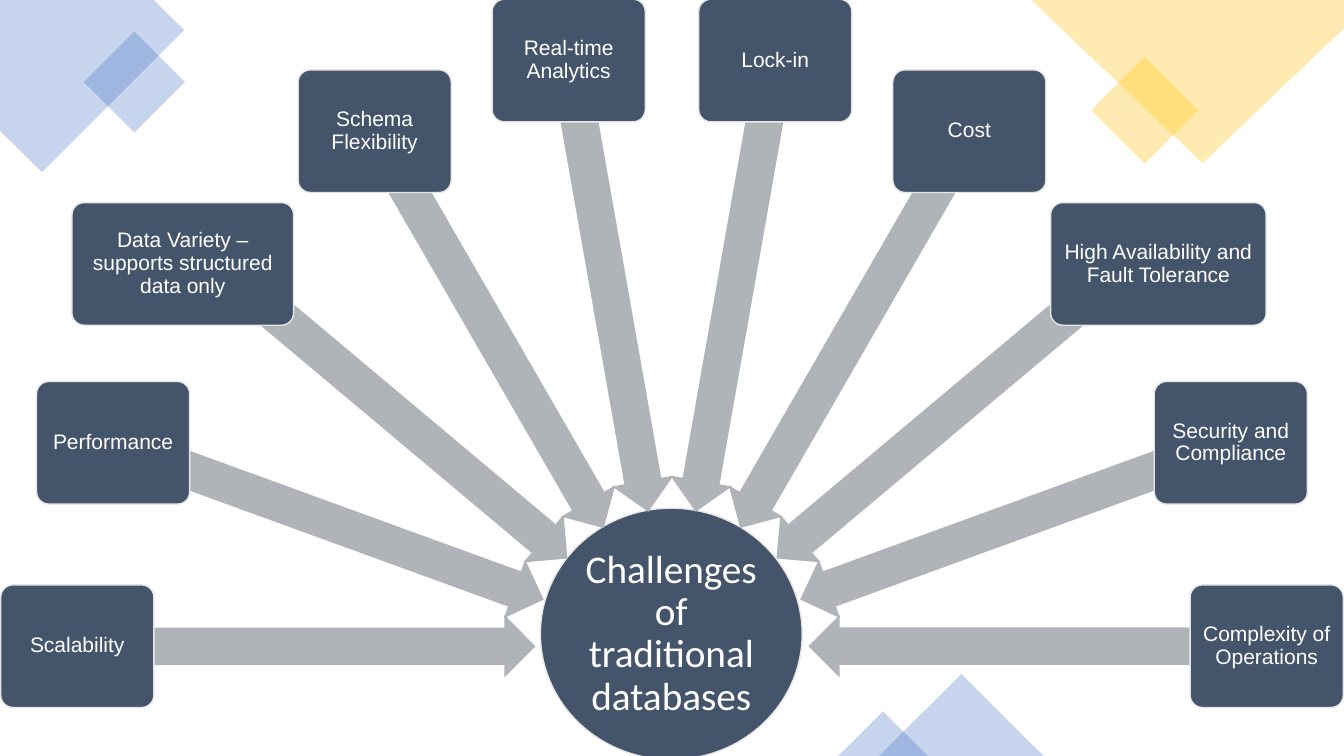
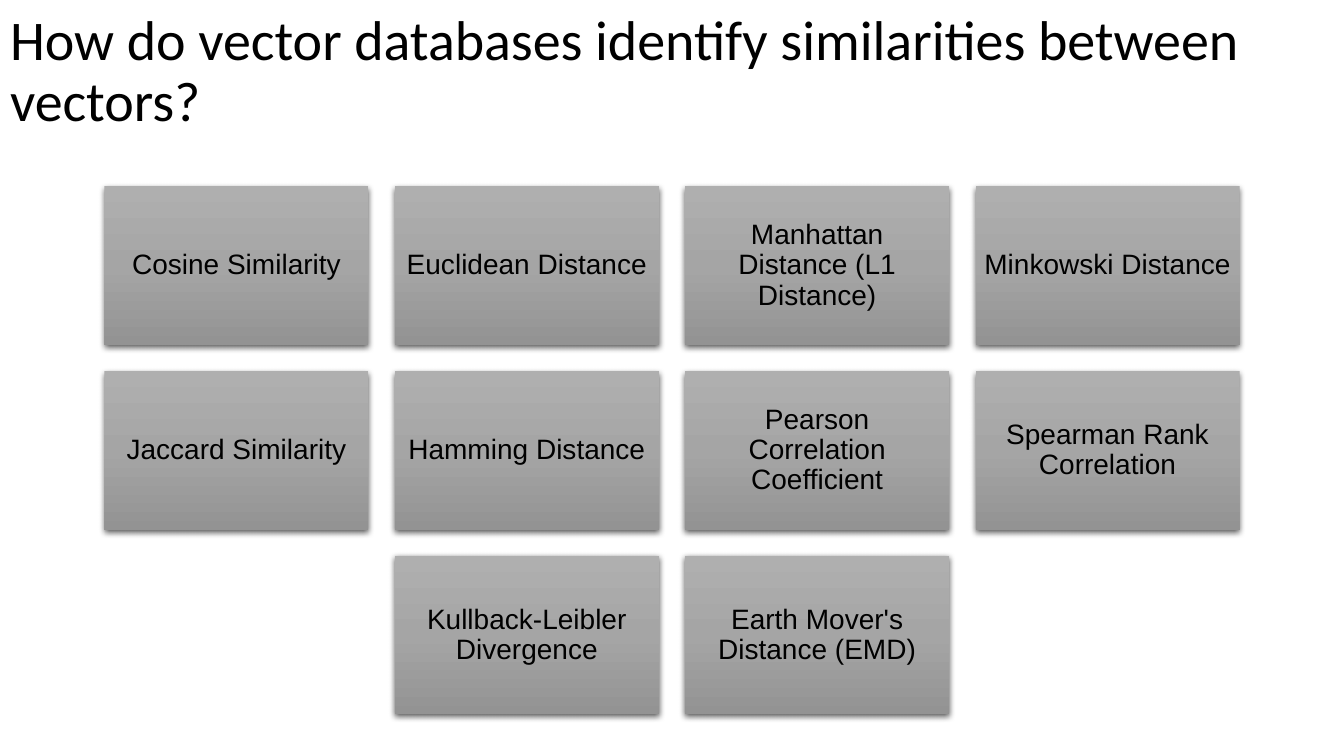
from copy import deepcopy
from math import cos, radians, sin

from lxml import etree
from pptx import Presentation
from pptx.dml.color import RGBColor
from pptx.enum.shapes import MSO_SHAPE
from pptx.enum.text import MSO_ANCHOR, MSO_AUTO_SIZE, PP_ALIGN
from pptx.oxml.ns import qn
from pptx.util import Pt

ARROW = MSO_SHAPE.LEFT_ARROW
DIAMOND = MSO_SHAPE.DIAMOND
OVAL = MSO_SHAPE.OVAL
RECTANGLE = MSO_SHAPE.RECTANGLE
ROUNDED = MSO_SHAPE.ROUNDED_RECTANGLE
TRIANGLE = MSO_SHAPE.ISOSCELES_TRIANGLE
MIDDLE = MSO_ANCHOR.MIDDLE
NO_AUTOFIT = MSO_AUTO_SIZE.NONE
CENTER, LEFT = PP_ALIGN.CENTER, PP_ALIGN.LEFT
TITLE_ONLY, BLANK = 5, 6

WIDTH, HEIGHT = 960, 540
BLUE, GOLD, NAVY, PALE = "4472C4", "FFC000", "44546A", "E7E6E6"
ARROW_GREY, WHITE, BLACK = "B0B4B9", "FFFFFF", "000000"
TILE_STOPS = [(0, "AFAFAF"), (0.5, "A5A5A5"), (1, "939393")]

CHALLENGES = [
    ("Scalability", 109.4, 0),
    ("Performance", 109.4, 0),
    ("Data Variety – supports structured data only", 158.4, -24),
    ("Schema Flexibility", 109.4, 0),
    ("Real-time Analytics", 109.4, 0),
    ("Lock-in", 109.4, 0),
    ("Cost", 109.4, 0),
    ("High Availability and Fault Tolerance", 154, 22),
    ("Security and Compliance", 109.4, 0),
    ("Complexity of Operations", 109.4, 0),
]
MEASURES = [
    ["Cosine Similarity", "Euclidean Distance", "Manhattan Distance (L1 Distance)", "Minkowski Distance"],
    ["Jaccard Similarity", "Hamming Distance", "Pearson Correlation Coefficient", "Spearman Rank Correlation"],
    ["Kullback-Leibler Divergence", "Earth Mover's Distance (EMD)"],
]


def color(value):
    return RGBColor.from_string(value)


def assign(target, values):
    for name, value in values.items():
        setattr(target, name, value)


class Deck:
    def __init__(self):
        self.presentation = Presentation()
        assign(self.presentation, {"slide_width": Pt(WIDTH), "slide_height": Pt(HEIGHT)})
        self.slide = None

    def start(self, layout):
        self.slide = self.presentation.slides.add_slide(self.presentation.slide_layouts[layout])

    def label(self, shape, words, size, font, ink, align=CENTER, margins=(0, 0)):
        side, edge = (Pt(margin) for margin in margins)
        frame = shape.text_frame
        assign(frame, {
            "text": words, "word_wrap": True, "auto_size": NO_AUTOFIT, "vertical_anchor": MIDDLE,
            "margin_left": side, "margin_right": side, "margin_top": edge, "margin_bottom": edge,
        })
        paragraph = frame.paragraphs[0]
        assign(paragraph, {"alignment": align, "line_spacing": 0.9})
        run_font = paragraph.runs[0].font
        assign(run_font, {"name": font, "size": Pt(size)})
        run_font.color.rgb = color(ink)

    def paint(self, shape, fill, outline=None, alpha=None):
        shape.shadow.inherit = False
        shape.fill.solid()
        shape.fill.fore_color.rgb = color(fill)
        if alpha:
            tint = shape._element.spPr.find(qn("a:solidFill"))[0]
            etree.SubElement(tint, qn("a:alpha"), val=str(alpha * 1000))
        if outline:
            shape.line.color.rgb = color(outline)
            shape.line.width = Pt(1)
        else:
            shape.line.fill.background()

    def shape(self, kind, left, top, width, height):
        return self.slide.shapes.add_shape(kind, Pt(left), Pt(top), Pt(width), Pt(height))

    def title(self, words):
        heading = self.slide.shapes.title
        assign(heading, {"left": 0, "top": 0, "width": Pt(WIDTH), "height": Pt(104.4)})
        self.label(heading, words, 40, "Calibri", BLACK, LEFT, (7.2, 3.6))

    def ornament(self, kind, box, fill):
        self.paint(self.shape(kind, *box), fill, alpha=30)

    def corner(self, points, fill):
        outline = [(Pt(x), Pt(y)) for x, y in points]
        builder = self.slide.shapes.build_freeform(*outline[0])
        builder.add_line_segments(outline[1:], close=True)
        self.paint(builder.convert_to_shape(), fill, alpha=30)

    def hub(self, words, left, top, width, height):
        circle = self.shape(OVAL, left, top, width, height)
        self.paint(circle, NAVY, PALE)
        self.label(circle, words, 28, "Calibri", WHITE)

    def arrow(self, center_x, center_y, rotation):
        length, thickness = 327, 44.6
        pointer = self.shape(ARROW, center_x - length / 2, center_y - thickness / 2, length, thickness)
        pointer.adjustments[0], pointer.adjustments[1] = 0.6, 0.5
        pointer.rotation = rotation
        self.paint(pointer, ARROW_GREY)

    def challenge(self, words, center_x, center_y, width):
        height = 87.6
        card = self.shape(ROUNDED, center_x - width / 2, center_y - height / 2, width, height)
        card.adjustments[0] = 0.1
        self.paint(card, NAVY, PALE)
        self.label(card, words, 15, "Arial", WHITE, margins=(2.5, 2.5))

    def tile(self, words, left, top, width, height):
        tile = self.shape(RECTANGLE, left, top, width, height)
        properties = tile._element.spPr
        tile.line.fill.background()
        tile.fill.gradient()
        tile.fill.gradient_angle = 270
        stop_list = properties.find(".//" + qn("a:gsLst"))
        stop_list.insert(1, deepcopy(stop_list[0]))
        for stop, (position, shade) in zip(tile.fill.gradient_stops, TILE_STOPS):
            stop.position = position
            stop.color.rgb = color(shade)
        tile.shadow.inherit = False
        shadow = etree.SubElement(
            properties.find(qn("a:effectLst")), qn("a:outerShdw"), blurRad=str(Pt(4.5)),
            dist=str(Pt(1.5)), dir="5400000", algn="ctr", rotWithShape="0")
        ink = etree.SubElement(shadow, qn("a:srgbClr"), val=BLACK)
        etree.SubElement(ink, qn("a:alpha"), val="63000")
        self.label(tile, words, 20, "Arial", BLACK, margins=(5.5, 5.5))


def build_challenges(deck):
    deck.start(BLANK)
    deck.corner([(0, 0), (110, 0), (131.5, 21.5), (30, 123), (0, 93.5)], BLUE)
    deck.ornament(DIAMOND, (60, 22.6, 72, 72), BLUE)
    deck.ornament(DIAMOND, (779.4, 40.6, 76.4, 76.4), GOLD)
    deck.corner([(736.6, 0), (WIDTH, 0), (WIDTH, 20.2), (859, 116.6)], GOLD)
    deck.ornament(TRIANGLE, (628, 481.5, 117.4, 58.5), BLUE)
    deck.ornament(TRIANGLE, (598.8, 508.2, 64, 31.8), BLUE)
    deck.hub("Challenges of traditional databases", 386, 363, 187, 179.6)

    center_x, center_y = 480, 461.6
    arrow_radius, card_radius = 261, 424.8
    step = 180 / (len(CHALLENGES) - 1)
    for index, (words, width, shift) in enumerate(CHALLENGES):
        angle = index * step
        across, up = cos(radians(angle)), sin(radians(angle))
        deck.arrow(center_x - arrow_radius * across, center_y - arrow_radius * up, (180 + angle) % 360)
        deck.challenge(words, center_x - card_radius * across + shift, center_y - card_radius * up, width)


def build_measures(deck):
    deck.start(TITLE_ONLY)
    deck.title("How do vector databases identify similarities between vectors?")
    width, height, gap, top = 188.6, 113.2, 18.8, 133.2
    for row, measures in enumerate(MEASURES):
        count = len(measures)
        left = (WIDTH - count * width - (count - 1) * gap) / 2
        for column, words in enumerate(measures):
            deck.tile(words, left + column * (width + gap), top + row * (height + gap), width, height)


def main():
    deck = Deck()
    build_challenges(deck)
    build_measures(deck)
    deck.presentation.save("out.pptx")


if __name__ == "__main__":
    main()
